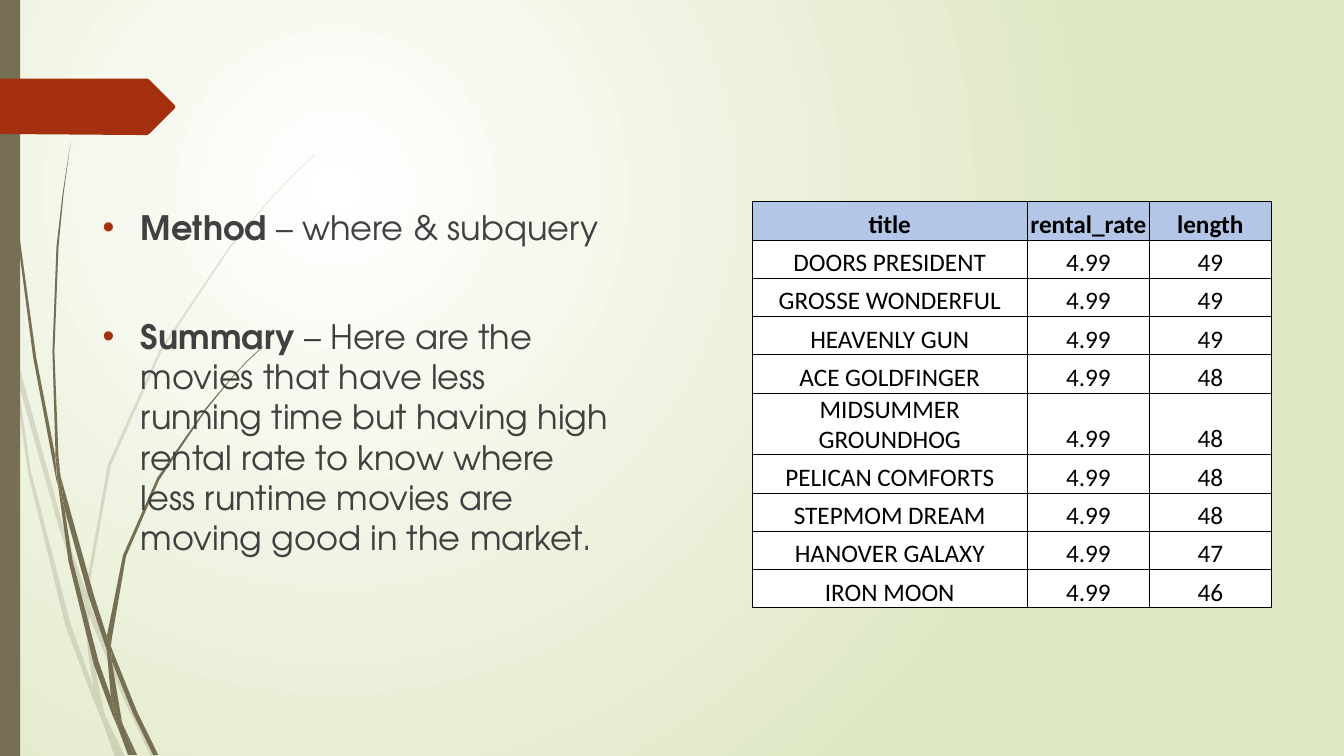
from lxml import etree
from pptx import Presentation
from pptx import util as u
from pptx.dml.color import RGBColor
from pptx.enum import shapes, text
from pptx.oxml import parse_xml
from pptx.oxml.ns import nsdecls, qn

PX = 9144  # 100 px to the inch
WIDTH, HEIGHT = 1333, 750

WHITE = RGBColor(0xFF, 0xFF, 0xFF)
BLACK = RGBColor(0, 0, 0)
PALE_GREEN = RGBColor(0xDF, 0xE8, 0xC4)
OLIVE = RGBColor(0x76, 0x6F, 0x54)
RUST = RGBColor(0xA5, 0x30, 0x10)
BODY_GREY = RGBColor(0x40, 0x40, 0x40)
HEADER_BLUE = RGBColor(0xB4, 0xC6, 0xE7)

BODY_FONT, TABLE_FONT = "TeX Gyre Adventor", "Calibri"

# (bold lead, rest, points before)
BODY = [
    ("Method", " – where & subquery", 10),
    ("Summary", " – Here are the movies that have less running time but having "
     "high rental rate to know where less runtime movies are moving good in the market.", 49),
]
BODY_BOX = (92, 200, 529, 476)
BODY_INDENT = 38

TABLE = [
    ("title", "rental_rate", "length"),
    ("DOORS PRESIDENT", "4.99", "49"),
    ("GROSSE WONDERFUL", "4.99", "49"),
    ("HEAVENLY GUN", "4.99", "49"),
    ("ACE GOLDFINGER", "4.99", "48"),
    ("MIDSUMMER GROUNDHOG", "4.99", "48"),
    ("PELICAN COMFORTS", "4.99", "48"),
    ("STEPMOM DREAM", "4.99", "48"),
    ("HANOVER GALAXY", "4.99", "47"),
    ("IRON MOON", "4.99", "46"),
]
TABLE_LEFT, TABLE_TOP, ROW_HEIGHT = 746, 200, 38
COLUMN_WIDTHS = (273, 121, 121)

# Outlines as "x,y" points in px
PALE_GRASS = [
    "11,350 9,322 0,282 0,299 10,344",
    "58,522 84,599 85,586 62,520 14,345 17,376",
    "92,607 88,596 88,610 123,694 150,751 155,751 127,692",
    "119,751 124,751 105,711",
    "93,683 70,619 31,469 17,376 11,350 28,470 65,621 92,693 101,714 99,707",
    "84,599 87,646 93,683 96,692 105,711 103,706 91,646 88,610 88,608",
    "88,584 110,462 160,349 229,245 268,198 290,175 312,154 312,153 289,175 268,197 "
    "228,244 158,348 107,461 85,584 85,586 88,596",
    "101,714 114,751 119,751",
    "88,608 88,610 88,596 85,586 84,599",
    "96,692 93,683 99,707 101,714 119,751 105,711",
]
DARK_GRASS = [
    "7,110 17,233 33,355 56,477 57,481 55,457 55,453 36,355 19,232 8,109 5,48 4,0 3,0 4,48",
    "88,592 106,645 106,633 106,631 93,590 60,472 64,505",
    "113,649 110,641 111,656 132,708 152,749 157,749 136,706",
    "110,691 98,657 72,556 64,505 57,477 68,557 93,659 111,708 117,722 116,717",
    "60,472 58,453 54,349 58,245 63,193 70,141 62,193 56,245 52,349 55,449",
    "133,749 136,749 122,719",
    "57,477 64,505 60,472 55,449 55,453",
    "111,633 125,552 158,476 205,406 231,374 245,359 261,344 260,344 245,358 231,373 "
    "204,405 156,474 122,551 106,631 110,641",
    "117,722 127,749 131,749",
    "106,645 110,691 116,706 122,719 121,716 111,656 109,651",
    "106,645 109,651 111,656 110,641 106,631 106,633",
    "116,706 110,691 116,717 117,722 130,749 133,749 122,719",
]
BANNER = "173,108 148,133 146,134 136,134 0,133 0,78 136,78 146,78 148,79 173,104 174,106"


def px(*lengths):
    return [u.Emu(n * PX) for n in lengths]


def paint(sp, color):
    sp.shadow.inherit = False
    sp.fill.solid()
    sp.fill.fore_color.rgb = color
    sp.line.fill.background()


def add_outline(parent, outline, color):
    points = [tuple(map(int, pair.split(","))) for pair in outline.split()]
    builder = parent.build_freeform(*points[0], scale=PX)
    builder.add_line_segments(points[1:], close=True)
    sp = builder.convert_to_shape()
    paint(sp, color)
    return sp


def add_run(p, words, font, size, color, bold):
    r = p.add_run()
    r.text = words
    r.font.name, r.font.size, r.font.bold = font, u.Pt(size), bold
    r.font.color.rgb = color


def fill_background(slide):
    """Radial gradient centred in the upper left quarter."""
    fill = slide.background.fill
    fill.gradient()
    for stop, position, color in zip(fill.gradient_stops, (0, 1), (WHITE, PALE_GREEN)):
        stop.position, stop.color.rgb = position, color
    grad = slide.element.find(".//" + qn("a:gradFill"))
    grad.replace(grad.find(qn("a:lin")), parse_xml(
        f'<a:path {nsdecls("a")} path="circle">'
        '<a:fillToRect l="50000" t="50000" r="100000" b="100000"/></a:path>'))


def add_grass(slide):
    for blades, alpha in ((PALE_GRASS, 20000), (DARK_GRASS, 100000)):
        group = slide.shapes.add_group_shape()
        for blade in blades:
            sp = add_outline(group.shapes, blade, OLIVE)
            if alpha < 100000:
                color = sp.element.spPr.find(qn("a:solidFill"))[0]
                etree.SubElement(color, qn("a:alpha"), val=str(alpha))


def add_body(slide):
    tf = slide.shapes.add_textbox(*px(*BODY_BOX)).text_frame
    tf.word_wrap = True
    for i, (lead, rest, before) in enumerate(BODY):
        p = tf.add_paragraph() if i else tf.paragraphs[0]
        p.space_before = u.Pt(before)
        pPr = p._p.get_or_add_pPr()
        pPr.set("marL", str(BODY_INDENT * PX))
        pPr.set("indent", str(-BODY_INDENT * PX))
        color = etree.SubElement(pPr, qn("a:buClr"))
        etree.SubElement(color, qn("a:srgbClr"), val=str(RUST))
        etree.SubElement(pPr, qn("a:buFont"), typeface="Arial")
        etree.SubElement(pPr, qn("a:buChar"), char="•")
        add_run(p, lead, BODY_FONT, 24, BODY_GREY, True)
        add_run(p, rest, BODY_FONT, 24, BODY_GREY, False)


def add_borders(cell):
    tcPr = cell._tc.get_or_add_tcPr()
    for side in ("lnL", "lnR", "lnT", "lnB"):
        ln = etree.SubElement(tcPr, qn(f"a:{side}"), w=str(u.Pt(0.5)))
        fill = etree.SubElement(ln, qn("a:solidFill"))
        etree.SubElement(fill, qn("a:srgbClr"), val=str(BLACK))


def add_movies(slide):
    box = px(TABLE_LEFT, TABLE_TOP, sum(COLUMN_WIDTHS), ROW_HEIGHT * len(TABLE))
    table = slide.shapes.add_table(len(TABLE), len(COLUMN_WIDTHS), *box).table
    table.first_row = table.horz_banding = False
    for column, width in zip(table.columns, px(*COLUMN_WIDTHS)):
        column.width = width
    for i, row in enumerate(TABLE):
        header = i == 0
        for j, words in enumerate(row):
            cell = table.cell(i, j)
            add_borders(cell)
            cell.fill.solid()
            cell.fill.fore_color.rgb = HEADER_BLUE if header else WHITE
            cell.margin_left, cell.margin_right, cell.margin_top, cell.margin_bottom = px(1, 1, 1, 0)
            cell.vertical_anchor = text.MSO_ANCHOR.BOTTOM
            p = cell.text_frame.paragraphs[0]
            p.alignment = text.PP_ALIGN.CENTER
            add_run(p, words, TABLE_FONT, 18, BLACK, header)


def main():
    prs = Presentation()
    prs.slide_width, prs.slide_height = px(WIDTH, HEIGHT)
    slide = prs.slides.add_slide(prs.slide_layouts[6])
    fill_background(slide)
    add_grass(slide)
    side_bar = slide.shapes.add_shape(shapes.MSO_SHAPE.RECTANGLE, *px(0, 0, 20, HEIGHT))
    paint(side_bar, OLIVE)
    add_outline(slide.shapes, BANNER, RUST)
    add_body(slide)
    add_movies(slide)
    prs.save("out.pptx")


if __name__ == "__main__":
    main()
